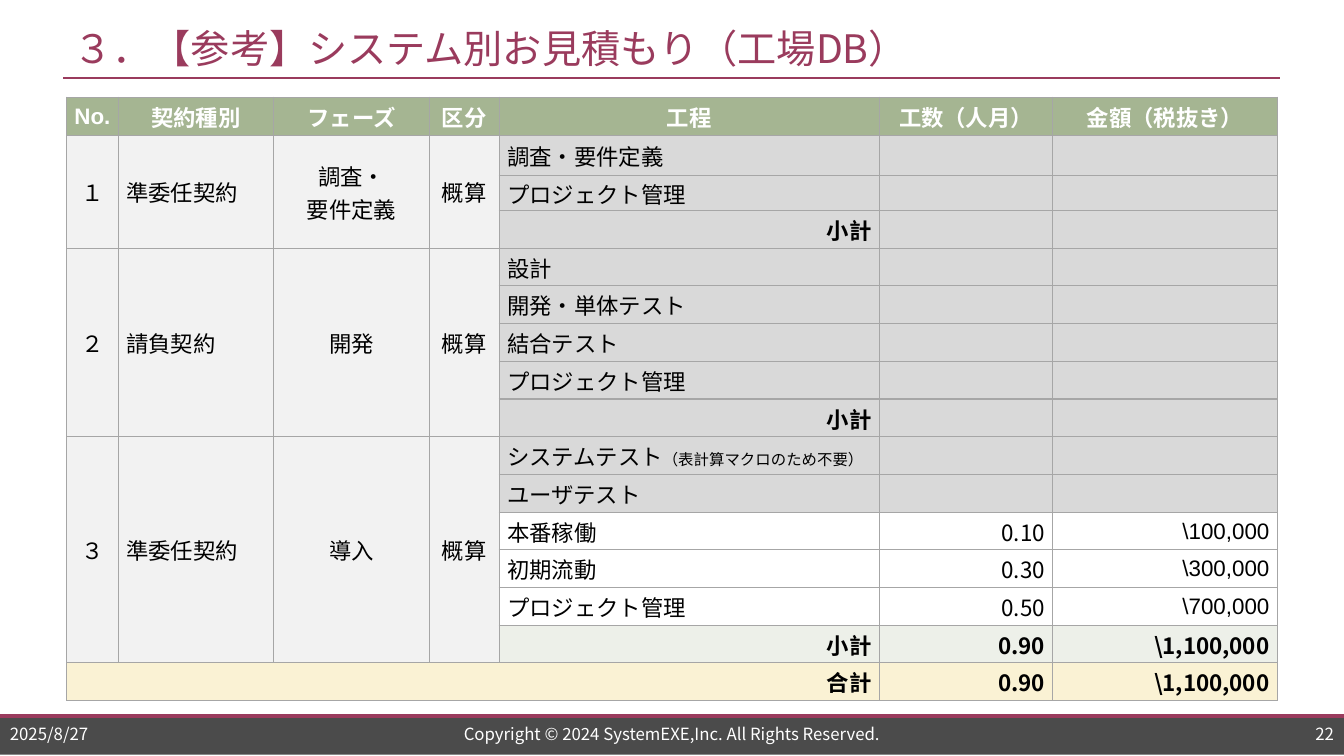
from dataclasses import dataclass

from lxml import etree
from pptx import Presentation
from pptx.dml.color import RGBColor
from pptx.enum.shapes import MSO_CONNECTOR, MSO_SHAPE
from pptx.enum.text import MSO_ANCHOR, MSO_AUTO_SIZE, PP_ALIGN
from pptx.oxml.ns import qn
from pptx.util import Cm, Pt

LEFT, CENTER, RIGHT = PP_ALIGN.LEFT, PP_ALIGN.CENTER, PP_ALIGN.RIGHT
MIDDLE = MSO_ANCHOR.MIDDLE
NO_AUTOFIT = MSO_AUTO_SIZE.NONE
RECTANGLE = MSO_SHAPE.RECTANGLE
STRAIGHT = MSO_CONNECTOR.STRAIGHT
TITLE_ONLY = 5


@dataclass(frozen=True)
class Theme:
    """Colours, fonts and type sizes of the slide."""
    accent: str = "9A3B5D"
    footer: str = "4B4B4B"
    white: str = "FFFFFF"
    black: str = "000000"
    header: str = "A5B592"
    contract: str = "F2F2F2"
    excluded: str = "D9D9D9"
    subtotal: str = "EDF0E9"
    total: str = "FAF2D4"
    border: str = "A6A6A6"
    latin: str = "Arial"
    japanese: str = "Noto Sans CJK JP"
    title_size: int = 28
    table_size: int = 16
    remark_size: int = 11
    footer_size: int = 12


THEME = Theme()
SLIDE_WIDTH, SLIDE_HEIGHT = 33.87, 19.05
HEADERS = ["No.", "契約種別", "フェーズ", "区分", "工程", "工数（人月）", "金額（税抜き）"]
COLUMN_WIDTHS = [1.3, 3.92, 3.92, 1.76, 9.58, 4.37, 5.66]
ROW_HEIGHTS = [0.96, 0.89, 0.88] + [0.95] * 13
PROCESS, MONTHS, AMOUNT = 4, 5, 6
REMARK = "（表計算マクロのため不要）"
CONTRACTS = [
    (["１", "準委任契約", "調査・\n要件定義", "概算"],
     [("調査・要件定義", None, None), ("プロジェクト管理", None, None)]),
    (["２", "請負契約", "開発", "概算"],
     [("設計", None, None), ("開発・単体テスト", None, None),
      ("結合テスト", None, None), ("プロジェクト管理", None, None)]),
    (["３", "準委任契約", "導入", "概算"],
     [("システムテスト", None, None), ("ユーザテスト", None, None),
      ("本番稼働", 0.1, 100000), ("初期流動", 0.3, 300000),
      ("プロジェクト管理", 0.5, 700000)]),
]


def style_run(run, size, color, latin=THEME.japanese, bold=False):
    """Set the size, colour, weight and fonts of a run."""
    run.font.size = Pt(size)
    run.font.bold = bold
    run.font.color.rgb = RGBColor.from_string(color)
    run.font.name = latin
    east_asian = etree.SubElement(run._r.get_or_add_rPr(), qn("a:ea"))
    east_asian.set("typeface", THEME.japanese)


def write(frame, text, align, size, color, **style):
    """Fill a text frame with aligned, styled paragraphs."""
    frame.text = text
    for paragraph in frame.paragraphs:
        paragraph.alignment = align
        for run in paragraph.runs:
            style_run(run, size, color, **style)


def add_rule(slide, left, top, width, weight):
    """Draw a horizontal accent line."""
    rule = slide.shapes.add_connector(STRAIGHT, Cm(left), Cm(top), Cm(left + width), Cm(top))
    rule.line.color.rgb = RGBColor.from_string(THEME.accent)
    rule.line.width = Pt(weight)
    etree.SubElement(rule._element.spPr, qn("a:effectLst"))


def add_heading(slide, left, top, width, height):
    """Place the title and the line under it."""
    title = slide.shapes.title
    title.left, title.top, title.width, title.height = Cm(left), Cm(top), Cm(width), Cm(height)
    frame = title.text_frame
    frame.auto_size = NO_AUTOFIT
    frame.word_wrap = False
    frame.vertical_anchor = MIDDLE
    write(frame, "３．【参考】システム別お見積もり（工場DB）", LEFT, THEME.title_size, THEME.accent)
    add_rule(slide, left, top + height + 0.07, width, 1.5)


def add_footer(slide, left, top, width, height):
    """Place the footer bar with date, copyright and page number."""
    bar = slide.shapes.add_shape(RECTANGLE, Cm(left), Cm(top), Cm(width), Cm(height))
    bar.shadow.inherit = False
    bar.fill.solid()
    bar.fill.fore_color.rgb = RGBColor.from_string(THEME.footer)
    bar.line.fill.background()
    add_rule(slide, left, top + 0.03, width, 2.75)
    side, middle = 4.0, 17.0
    notes = [
        ("2025/8/27", LEFT, left, side),
        ("Copyright © 2024 SystemEXE,Inc. All Rights Reserved.", CENTER,
         left + (width - middle) / 2, middle),
        ("22", RIGHT, left + width - side, side),
    ]
    for text, align, note_left, note_width in notes:
        note = slide.shapes.add_textbox(Cm(note_left), Cm(top + 0.18), Cm(note_width), Cm(0.6))
        frame = note.text_frame
        frame.auto_size = NO_AUTOFIT
        frame.word_wrap = True
        frame.vertical_anchor = MIDDLE
        write(frame, text, align, THEME.footer_size, THEME.white)


def paint_cell(cell, fill):
    """Give a cell its fill, borders, margins and anchor."""
    cell.fill.solid()
    cell.fill.fore_color.rgb = RGBColor.from_string(fill)
    cell.vertical_anchor = MIDDLE
    cell.margin_left = cell.margin_right = Cm(0.2)
    cell.margin_top, cell.margin_bottom = Cm(0.02), 0
    properties = cell._tc.get_or_add_tcPr()
    for index, edge in enumerate(["a:lnL", "a:lnR", "a:lnT", "a:lnB"]):
        line = etree.Element(qn(edge), w=str(Pt(1)))
        solid = etree.SubElement(line, qn("a:solidFill"))
        etree.SubElement(solid, qn("a:srgbClr"), val=THEME.border)
        properties.insert(index, line)


def write_cell(cell, text, align, color=THEME.black, latin=THEME.latin, bold=False):
    """Write text at the size used in the table."""
    write(cell.text_frame, text, align, THEME.table_size, color, latin=latin, bold=bold)


def fill_figures(table, row, months, amount, fill, bold=False):
    """Write the person-months and the amount of one row, if any."""
    for column in (PROCESS, MONTHS, AMOUNT):
        paint_cell(table.cell(row, column), fill)
    if months:
        amount_font = THEME.japanese if bold else THEME.latin
        write_cell(table.cell(row, MONTHS), f"{months:.2f}", RIGHT, latin=THEME.japanese, bold=bold)
        write_cell(table.cell(row, AMOUNT), rf"\{amount:,}", RIGHT, latin=amount_font, bold=bold)


def fill_contract(table, first, labels, processes):
    """Write one contract block and return its subtotal row and sums."""
    last = first + len(processes)
    for column, label in enumerate(labels):
        for row in range(first, last + 1):
            paint_cell(table.cell(row, column), THEME.contract)
        label_cell = table.cell(first, column)
        label_cell.merge(table.cell(last, column))
        write_cell(label_cell, label, LEFT if column == 1 else CENTER)
        if column == 0:
            label_cell.margin_left = label_cell.margin_right = 0
    for row, (process, months, amount) in enumerate(processes, first):
        fill_figures(table, row, months, amount, THEME.white if months else THEME.excluded)
        write_cell(table.cell(row, PROCESS), process, LEFT)
    months_sum = sum(months or 0 for _, months, _ in processes)
    amount_sum = sum(amount or 0 for _, _, amount in processes)
    fill = THEME.subtotal if months_sum else THEME.excluded
    fill_figures(table, last, months_sum, amount_sum, fill, bold=True)
    write_cell(table.cell(last, PROCESS), "小計", RIGHT, bold=True)
    return last, months_sum, amount_sum


def add_estimate(slide, left, top):
    """Place the estimate table with subtotals and a grand total."""
    frame = slide.shapes.add_table(len(ROW_HEIGHTS), len(HEADERS), Cm(left), Cm(top),
                                   Cm(sum(COLUMN_WIDTHS)), Cm(sum(ROW_HEIGHTS)))
    table = frame.table
    table.first_row = table.horz_banding = False
    for column, width in zip(table.columns, COLUMN_WIDTHS):
        column.width = Cm(width)
    for row, height in zip(table.rows, ROW_HEIGHTS):
        row.height = Cm(height)
    for column, header in enumerate(HEADERS):
        cell = table.cell(0, column)
        paint_cell(cell, THEME.header)
        cell.margin_left = cell.margin_right = Cm(0.02)
        write_cell(cell, header, CENTER, THEME.white, bold=True)
    row, months_total, amount_total = 0, 0, 0
    for labels, processes in CONTRACTS:
        row, months, amount = fill_contract(table, row + 1, labels, processes)
        months_total += months
        amount_total += amount
    total_row = row + 1
    fill_figures(table, total_row, months_total, amount_total, THEME.total, bold=True)
    for column in range(PROCESS):
        paint_cell(table.cell(total_row, column), THEME.total)
    total_label = table.cell(total_row, 0)
    total_label.merge(table.cell(total_row, PROCESS))
    write_cell(total_label, "合計", RIGHT, bold=True)
    first_process = table.cell(1, PROCESS)
    first_process.margin_top = first_process.margin_bottom = Cm(0.1)
    system_test = table.cell(total_row - 6, PROCESS).text_frame.paragraphs[0]
    remark = system_test.add_run()
    remark.text = REMARK
    style_run(remark, THEME.remark_size, THEME.black, latin=THEME.latin)


def main():
    """Build the estimate slide."""
    deck = Presentation()
    deck.slide_width, deck.slide_height = Cm(SLIDE_WIDTH), Cm(SLIDE_HEIGHT)
    slide = deck.slides.add_slide(deck.slide_layouts[TITLE_ONLY])
    add_footer(slide, 0, 18.02, SLIDE_WIDTH, 1)
    add_heading(slide, 1.6, 0.5, 30.66, 1.4)
    add_estimate(slide, 1.68, 2.45)
    deck.save("out.pptx")


if __name__ == "__main__":
    main()
